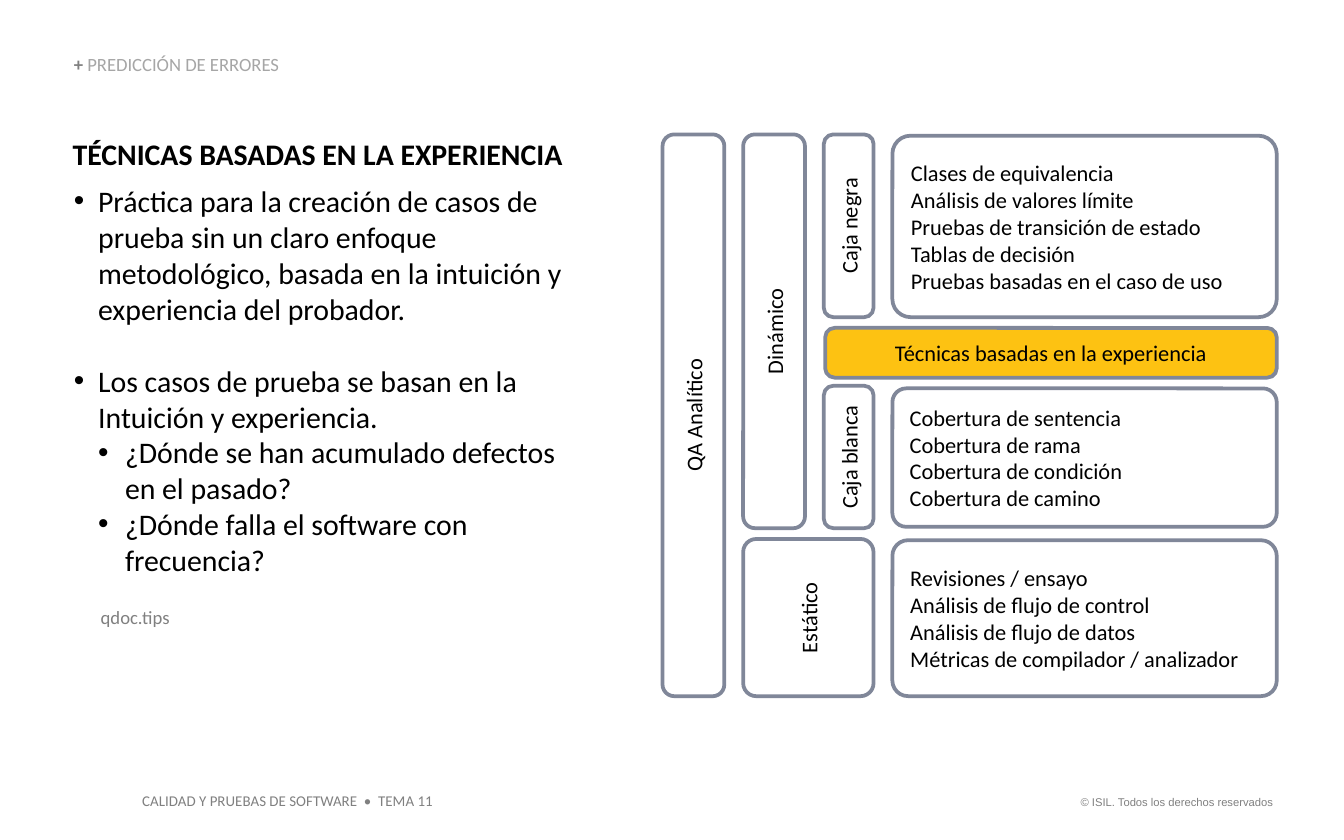
from lxml.etree import SubElement
from pptx import Presentation
from pptx.dml.color import RGBColor
from pptx.enum.shapes import MSO_SHAPE as Shape
from pptx.enum.text import MSO_ANCHOR as Anchor, PP_ALIGN as Align
from pptx.oxml.ns import qn
from pptx.util import Inches, Pt

BLACK, WHITE, GRAY, LIGHT, SLATE, AMBER = (
    "000000", "FFFFFF", "808080", "A6A6A6", "808799", "FDC212")


def rgb(value):
    """Turn a hex string into a colour."""
    return RGBColor.from_string(value)


def write(p, text, size=12, color=BLACK, bold=False, font="Calibri"):
    """Add a formatted run to a paragraph."""
    r = p.add_run()
    r.text = text
    r.font.size, r.font.bold, r.font.name = Pt(size), bold, font
    r.font.color.rgb = rgb(color)


def indent(p, left, hanging, level=0):
    """Give a paragraph a bullet with a hanging indent."""
    p.level = level
    pPr = p._p.get_or_add_pPr()
    pPr.set("marL", str(Inches(left)))
    pPr.set("indent", str(-Inches(hanging)))
    SubElement(SubElement(pPr, qn("a:buClr")), qn("a:srgbClr"), val=BLACK)
    SubElement(pPr, qn("a:buFont"), typeface="Arial")
    SubElement(pPr, qn("a:buChar"), char="•")


class Deck:
    """Hold the style and the current slide."""

    def __init__(self, width, height):
        """Start a presentation with one blank slide."""
        self.prs = Presentation()
        self.prs.slide_width, self.prs.slide_height = Inches(width), Inches(height)
        self.s = self.prs.slides.add_slide(self.prs.slide_layouts[6])
        self.line, self.line_width = SLATE, Pt(2)

    def text(self, x, y, w, h, wrap=True, anchor=Anchor.TOP):
        """Add a text box, without insets when it wraps, and return its frame."""
        tf = self.s.shapes.add_textbox(*map(Inches, (x, y, w, h))).text_frame
        tf.word_wrap, tf.vertical_anchor = wrap, anchor
        if wrap:
            tf.margin_left = tf.margin_top = tf.margin_right = tf.margin_bottom = 0
        return tf

    def box(self, x, y, w, h, lines, align=Align.LEFT, fill=WHITE, radius=0.1, upright=False):
        """Add a rounded box; an upright one reads from bottom to top."""
        if upright:
            x, y, w, h = x + (w - h) / 2, y + (h - w) / 2, h, w
        sp = self.s.shapes.add_shape(Shape.ROUNDED_RECTANGLE, *map(Inches, (x, y, w, h)))
        sp.rotation = 270 if upright else 0
        sp.adjustments[0] = radius
        sp.shadow.inherit = False
        sp.fill.solid()
        sp.fill.fore_color.rgb = rgb(fill)
        sp.line.color.rgb, sp.line.width = rgb(self.line), self.line_width
        tf = sp.text_frame
        tf.word_wrap, tf.vertical_anchor = True, Anchor.MIDDLE
        for i, line in enumerate(lines):
            p = tf.add_paragraph() if i else tf.paragraphs[0]
            p.alignment = align
            write(p, line)


def main():
    """Build the slide and save it."""
    deck = Deck(10, 6.25)

    p = deck.text(7.88, 5.87, 1.69, 0.2, wrap=False).paragraphs[0]
    p.alignment = Align.RIGHT
    write(p, "© ISIL. Todos los derechos reservados", size=6, color=GRAY, font="Arial")
    p = deck.text(0.96, 5.84, 2.37, 0.24, wrap=False).paragraphs[0]
    write(p, "CALIDAD Y PRUEBAS DE SOFTWARE  •  TEMA 11", size=8, color=GRAY)

    p = deck.text(0.55, 0.41, 3.61, 0.15, anchor=Anchor.BOTTOM).paragraphs[0]
    p.line_spacing = 0.9
    write(p, "+ ", size=10, color=GRAY, bold=True)
    write(p, "PREDICCIÓN DE ERRORES", size=10, color=LIGHT)

    tf = deck.text(0.54, 1.01, 3.82, 3.32)
    p = tf.paragraphs[0]
    p.space_after = Pt(6)
    write(p, "TÉCNICAS BASADAS EN LA EXPERIENCIA", size=16, bold=True)
    for level, before, text in (
        (0, 0, "Práctica para la creación de casos de prueba sin un claro enfoque "
               "metodológico, basada en la intuición y experiencia del probador."),
        (0, 19.5, "Los casos de prueba se basan en la Intuición y experiencia."),
        (1, 0, "¿Dónde se han acumulado defectos en el pasado?"),
        (1, 0, "¿Dónde falla el software con frecuencia?"),
    ):
        p = tf.add_paragraph()
        p.space_before = Pt(before)
        indent(p, *((0.39, 0.2) if level else (0.19, 0.18)), level=level)
        write(p, text, size=16)

    p = deck.text(0.75, 4.51, 1.77, 0.17).paragraphs[0]
    write(p, "qdoc.tips", size=10, color=GRAY)

    for y, h, techniques in (
        (1.01, 1.35, ("Clases de equivalencia", "Análisis de valores límite",
                      "Pruebas de transición de estado", "Tablas de decisión",
                      "Pruebas basadas en el caso de uso")),
        (2.89, 1.03, ("Cobertura de sentencia", "Cobertura de rama",
                      "Cobertura de condición", "Cobertura de camino")),
        (4.02, 1.16, ("Revisiones / ensayo", "Análisis de flujo de control",
                      "Análisis de flujo de datos", "Métricas de compilador / analizador")),
    ):
        deck.box(6.64, y, 2.86, h, techniques)
    deck.box(6.14, 2.44, 3.36, 0.37, ["Técnicas basadas en la experiencia"],
             align=Align.CENTER, fill=AMBER, radius=0.19)
    for x, y, w, h, radius, category in (
        (4.93, 1, 0.46, 4.18, 0.19, "QA Analítico"),
        (5.53, 1, 0.46, 2.93, 0.19, "Dinámico"),
        (5.53, 4.01, 0.97, 1.17, 0.1, "Estático"),
        (6.13, 1, 0.37, 1.36, 0.19, "Caja negra"),
        (6.13, 2.87, 0.37, 1.06, 0.19, "Caja blanca"),
    ):
        deck.box(x, y, w, h, [category], align=Align.CENTER, radius=radius, upright=True)

    deck.prs.save("out.pptx")


if __name__ == "__main__":
    main()
